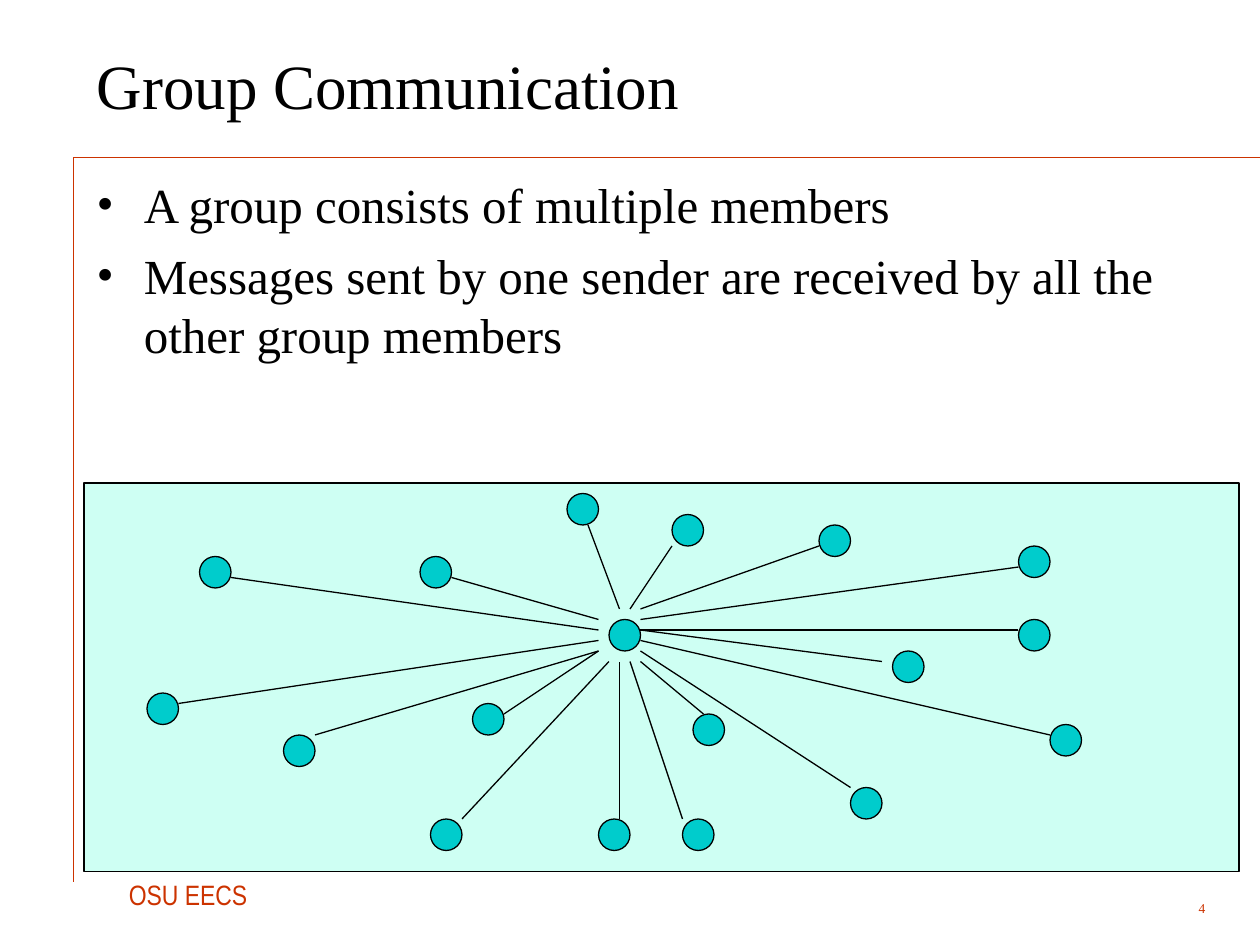
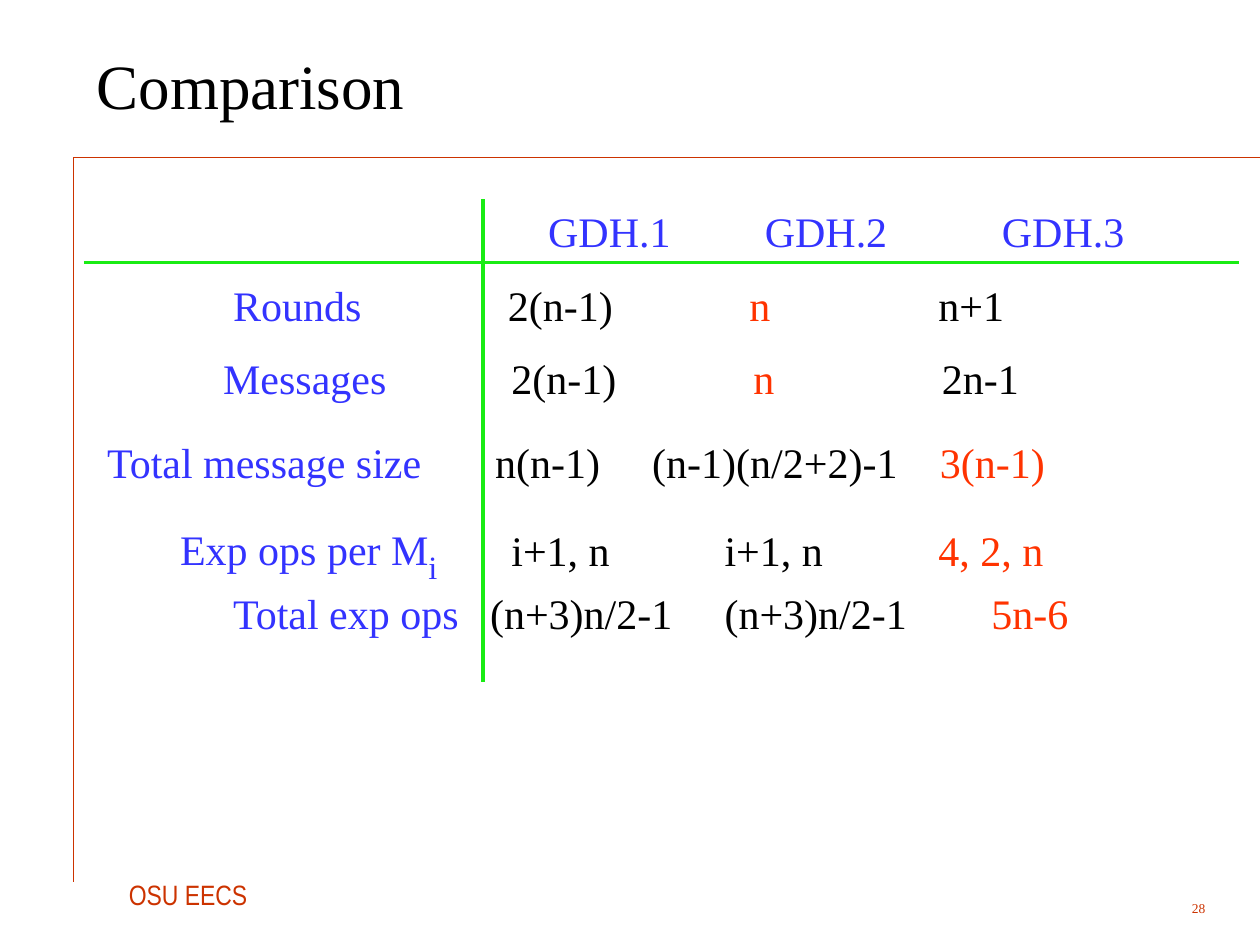
"""Build two slides on group communication and key agreement protocols."""
from lxml import etree
from pptx import Presentation
from pptx.dml.color import RGBColor
from pptx.enum import shapes, text
from pptx.oxml.ns import qn
from pptx.util import Cm, Pt

BLACK = RGBColor(0x00, 0x00, 0x00)
RUST = RGBColor(0xCC, 0x33, 0x00)
BLUE = RGBColor(0x33, 0x33, 0xFF)
RED = RGBColor(0xFF, 0x33, 0x00)
GREEN = RGBColor(0x19, 0xEC, 0x14)
MINT = RGBColor(0xCE, 0xFF, 0xF3)
TEAL = RGBColor(0x00, 0xCC, 0xCC)
SERIF = "Times New Roman"

FOOTER = "OSU EECS"
GROUP = {
    "title": "Group Communication",
    "number": "4",
    "points": [
        "A group consists of multiple members",
        "Messages sent by one sender are received by all the other group members",
    ],
}
COMPARISON = {"title": "Comparison", "number": "28"}

SENDER = (58, 59)
MEMBERS = [
    {"corner": (57, 78), "spoke": ((59, 78), (59, 63))},
    {"corner": (97, 52), "spoke": ((97, 54), (61, 59))},
    {"corner": (14, 66), "spoke": ((17, 67), (57, 61))},
    {"corner": (78, 50), "spoke": ((78, 52), (61, 58))},
    {"corner": (100, 69), "spoke": ((100, 70), (61, 61))},
    {"corner": (45, 67), "spoke": ((48, 68), (57, 62))},
    {"corner": (40, 53), "spoke": ((43, 55), (57, 59))},
    {"corner": (41, 78), "spoke": ((44, 78), (58, 63))},
    {"corner": (81, 75), "spoke": ((81, 75), (61, 62))},
    {"corner": (85, 62), "spoke": ((84, 63), (61, 60))},
    {"corner": (19, 53), "spoke": ((22, 55), (57, 60))},
    {"corner": (65, 78), "spoke": ((65, 78), (60, 63))},
    {"corner": (97, 59), "spoke": ((97, 60), (61, 60))},
    {"corner": (27, 70), "spoke": ((30, 70), (57, 62))},
    {"corner": (54, 47), "spoke": ((56, 50), (59, 58))},
    {"corner": (64, 49), "spoke": ((64, 52), (60, 58))},
    {"corner": (66, 68), "spoke": ((67, 68), (61, 63))},
]

COLUMN_EDGES = [8, 46, 62, 65, 89, 118]
NARROW_FIRST = [0, 1, 2, 4]
WIDE_FIRST = [0, 1, 3, 4]
PROTOCOLS = [
    {"cells": ["", "GDH.1", "GDH.2", "GDH.3"], "best": None,
     "starts": [2, 11.05, 15.42, 20.2], "height": 1.27, "above": 0.21},
    {"cells": ["Rounds", "2(n-1)", "n", "n+1"], "best": 2,
     "starts": [4.7, 10.24, 15.11, 18.92], "height": 1.83, "above": 0.44},
    {"cells": ["Messages", "2(n-1)", "n", "2n-1"], "best": 2,
     "starts": [4.5, 10.31, 15.19, 18.99], "height": 1.7, "above": 0.08},
    {"cells": ["Total message size", "n(n-1)", "(n-1)(n/2+2)-1", "3(n-1)"], "best": 3,
     "starts": [2.16, 9.98, 13.15, 18.95], "height": 1.4, "above": 0.06,
     "columns": NARROW_FIRST},
    {"cells": ["Exp ops per M", "i+1, n", "i+1, n", "4, 2, n"], "best": 3,
     "starts": [3.63, 10.31, 14.61, 18.92], "height": 1.63, "above": 0.44,
     "subscript": "i", "label_above": 0.18},
    {"cells": ["Total exp ops", "(n+3)n/2-1", "(n+3)n/2-1", "5n-6"], "best": 3,
     "starts": [4.7, 9.88, 14.61, 19.99], "height": 1.93, "above": 0},
]


def grid(steps):
    return Cm(steps * 25.4 / 120)


def apply(target, **formats):
    for name, value in formats.items():
        setattr(target, name, value)


def style(font, size, color, name=SERIF):
    apply(font, size=Pt(size), name=name, bold=False)
    font.color.rgb = color


def add_line(slide, start, end, color=BLACK, width=0.75):
    line = slide.shapes.add_connector(
        shapes.MSO_CONNECTOR.STRAIGHT, *map(grid, start + end))
    line.line.color.rgb = color
    line.line.width = Pt(width)
    etree.SubElement(line._element.spPr, qn("a:effectLst"))


def add_figure(slide, kind, box, color):
    figure = slide.shapes.add_shape(kind, *map(grid, box))
    figure.shadow.inherit = False
    figure.fill.solid()
    figure.fill.fore_color.rgb = color
    figure.line.color.rgb = BLACK
    figure.line.width = Pt(0.75)


def add_text(slide, box, lines, size, color, font=SERIF, bullet=None, wrap=True,
             anchor=text.MSO_ANCHOR.TOP, align=text.PP_ALIGN.LEFT):
    frame = slide.shapes.add_textbox(*map(Cm, box)).text_frame
    apply(frame, word_wrap=wrap, vertical_anchor=anchor)
    for index, line in enumerate(lines):
        paragraph = frame.paragraphs[0] if index == 0 else frame.add_paragraph()
        paragraph.alignment = align
        if index:
            paragraph.space_before = Pt(7)
        if bullet:
            properties = paragraph._p.get_or_add_pPr()
            properties.set("marL", str(Cm(0.95)))
            properties.set("indent", str(-Cm(0.95)))
            etree.SubElement(properties, qn("a:buFont"), typeface=font)
            etree.SubElement(properties, qn("a:buChar"), char=bullet)
        run = paragraph.add_run()
        run.text = line
        style(run.font, size, color, font)


def add_slide(deck, content):
    slide = deck.slides.add_slide(deck.slide_layouts[6])
    add_line(slide, (7, 15), (120, 15), RUST, 0.25)
    add_line(slide, (7, 15), (7, 84), RUST)
    add_text(slide, (2.35, 17.56, 3.02, 0.94), [FOOTER], 16, RUST, "Arial Narrow", wrap=False)
    add_text(slide, (22.44, 17.98, 2.11, 0.64), [content["number"]], 7.7, RUST,
             anchor=text.MSO_ANCHOR.MIDDLE, align=text.PP_ALIGN.RIGHT)
    add_text(slide, (1.7, 0.43, 22.89, 2.54), [content["title"]], 36, BLACK,
             anchor=text.MSO_ANCHOR.MIDDLE)
    return slide


def add_network(slide):
    add_figure(slide, shapes.MSO_SHAPE.RECTANGLE, (8, 46, 110, 37), MINT)
    for member in MEMBERS:
        add_line(slide, *member["spoke"])
    for corner in [SENDER] + [member["corner"] for member in MEMBERS]:
        add_figure(slide, shapes.MSO_SHAPE.OVAL, corner + (3, 3), TEAL)


def fill_cell(cell, protocol, index, edge, heading):
    above = protocol["above"]
    if index == 0:
        above = protocol.get("label_above", above)
    left = Cm(protocol["starts"][index]) - grid(edge)
    apply(cell, margin_left=max(left, 0), margin_right=0, margin_top=Cm(above),
          margin_bottom=0, vertical_anchor=text.MSO_ANCHOR.TOP)
    paragraph = cell.text_frame.paragraphs[0]
    run = paragraph.add_run()
    run.text = protocol["cells"][index]
    color = BLUE if heading else RED if index == protocol["best"] else BLACK
    style(run.font, 24, color)
    if index == 0 and "subscript" in protocol:
        subscript = paragraph.add_run()
        subscript.text = protocol["subscript"]
        style(subscript.font, 32, BLUE)
        subscript._r.get_or_add_rPr().set("baseline", "-25000")


def add_protocols(slide):
    height = sum(protocol["height"] for protocol in PROTOCOLS)
    table = slide.shapes.add_table(
        len(PROTOCOLS), len(COLUMN_EDGES) - 1, grid(COLUMN_EDGES[0]), grid(19),
        grid(COLUMN_EDGES[-1] - COLUMN_EDGES[0]), Cm(height)).table
    apply(table, first_row=False, horz_banding=False)
    for column, (left, right) in enumerate(zip(COLUMN_EDGES, COLUMN_EDGES[1:])):
        table.columns[column].width = grid(right - left)
    for cell in table.iter_cells():
        cell.fill.background()
    for row, protocol in enumerate(PROTOCOLS):
        table.rows[row].height = Cm(protocol["height"])
        columns = protocol.get("columns", WIDE_FIRST)
        for index, (first, after) in enumerate(zip(columns, columns[1:] + [5])):
            cell = table.cell(row, first)
            if after - first > 1:
                cell.merge(table.cell(row, after - 1))
            fill_cell(cell, protocol, index, COLUMN_EDGES[first], row == 0 or index == 0)
    add_line(slide, (8, 25), (118, 25), GREEN, 2)
    add_line(slide, (46, 19), (46, 65), GREEN, 2)


def main():
    deck = Presentation()
    apply(deck, slide_width=Cm(25.4), slide_height=Cm(19.05))
    group = add_slide(deck, GROUP)
    add_text(group, (1.7, 3.4, 22.94, 5.51), GROUP["points"], 28, BLACK, bullet="•")
    add_network(group)
    add_protocols(add_slide(deck, COMPARISON))
    deck.save("out.pptx")


if __name__ == "__main__":
    main()
